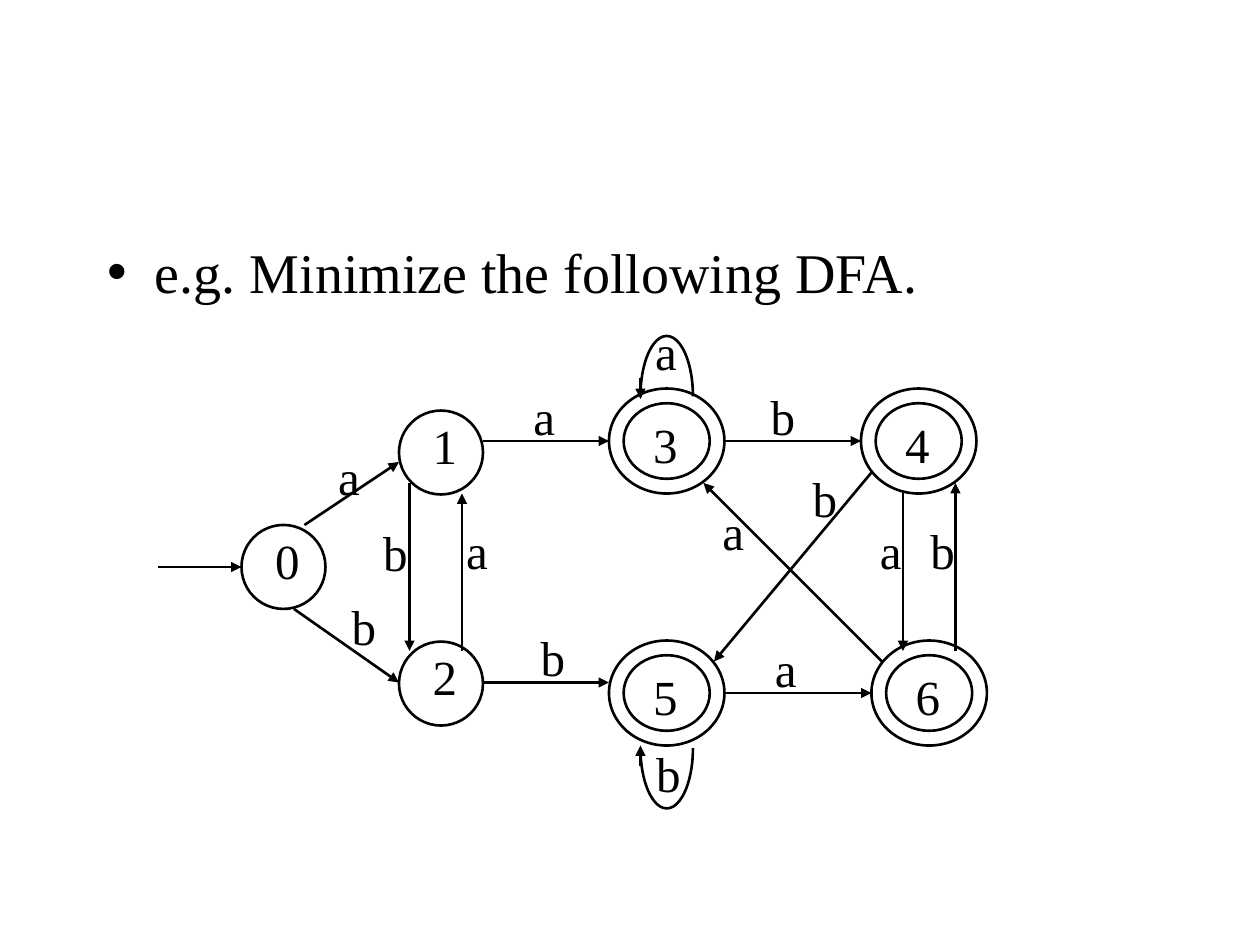
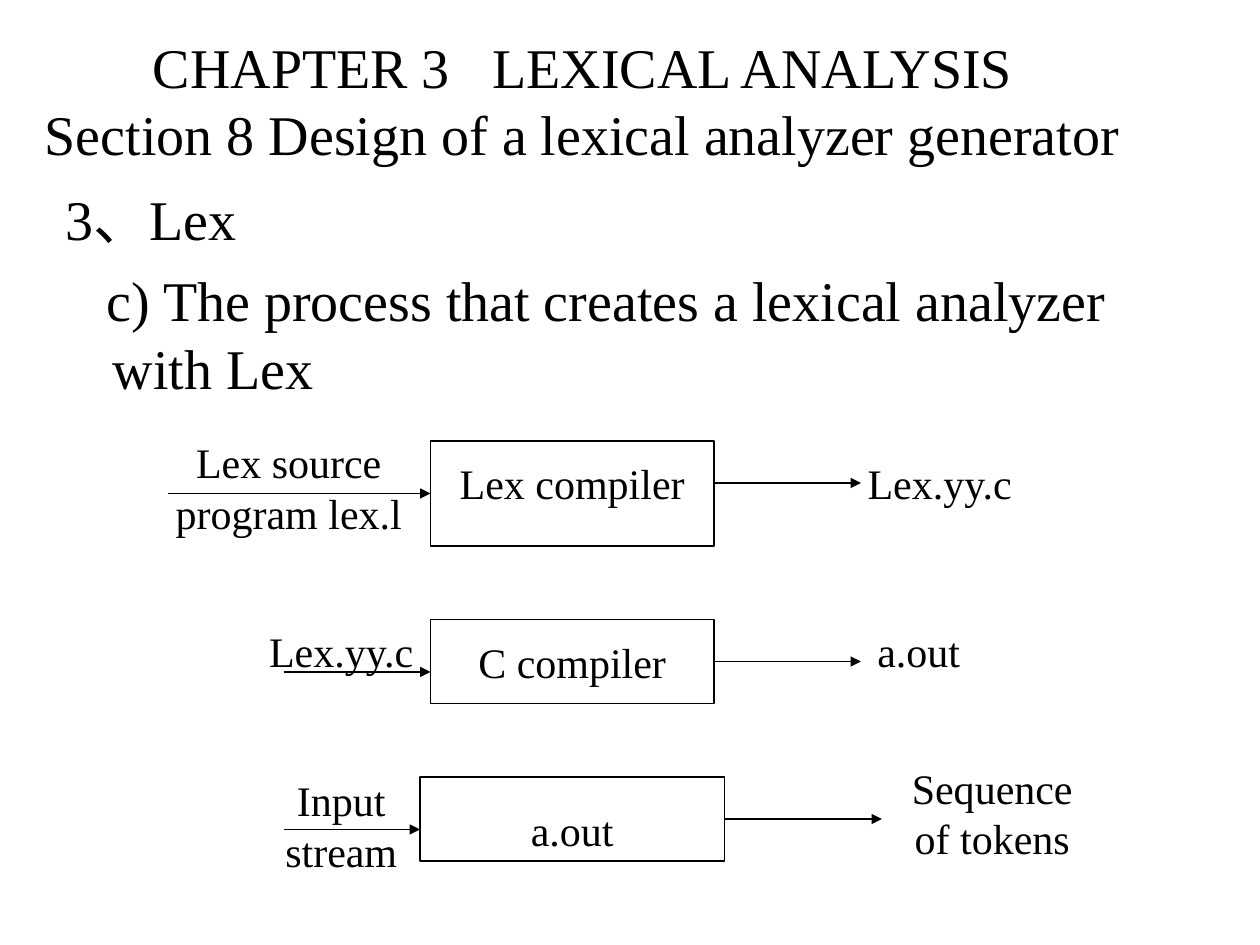
from typing import NamedTuple

from lxml import etree
from pptx import Presentation
from pptx import util as u
from pptx.dml.color import RGBColor
from pptx.enum import shapes, text
from pptx.oxml import ns

COLORS = {"ink": "000000"}
FONT = "Times New Roman"
COLUMNS, ROWS = 120, 90  # grid over a 10 x 7.5 inch page
CELL = u.Inches(10) // COLUMNS
HEADING_SIZE, SYMBOL_SIZE, STAGE_SIZE = 32, 28, 24
THICK, THIN = 1.5, 0.75
INK = RGBColor.from_string(COLORS["ink"])


class State(NamedTuple):
    name: str
    x: float  # centre
    y: float
    accepting: bool = False


class Arrow(NamedTuple):
    x1: float
    y1: float
    x2: float
    y2: float


class Symbol(NamedTuple):
    letter: str
    left: float
    top: float


class Label(NamedTuple):
    words: str
    left: float
    top: float
    width: float


class Stage(NamedTuple):
    left: float
    top: float
    width: float
    height: float
    arrow_start: float
    arrow_end: float
    labels: tuple[Label, Label, Label]  # input, tool, output


STATES = [
    State("0", 27, 54), State("1", 42, 43.1), State("2", 42, 65.1),
    State("3", 63.5, 42, True), State("5", 63.5, 66, True),
    State("4", 87.5, 42, True), State("6", 88.5, 66, True),
]

TRANSITIONS = [
    Arrow(15, 54, 23, 54), Arrow(29, 50, 38, 44), Arrow(28, 58, 38, 65),
    Arrow(39, 46, 39, 62), Arrow(44, 62, 44, 47),
    Arrow(46, 42, 58, 42), Arrow(46, 65, 58, 65),
    Arrow(69, 42, 82, 42), Arrow(69, 66, 83, 66),
    Arrow(83, 45, 68, 63), Arrow(84, 63, 67, 46),
    Arrow(86, 47, 86, 62), Arrow(91, 62, 91, 46),
    # Heads of the two self-loops
    Arrow(61, 36, 61, 38), Arrow(61, 73, 61, 71),
]

SYMBOLS = [
    Symbol("a", 29.8, 41.9), Symbol("a", 42, 49), Symbol("a", 48.4, 36.2),
    Symbol("a", 60, 30), Symbol("a", 71.4, 60.2), Symbol("a", 81.4, 49),
    Symbol("a", 66.4, 47.2), Symbol("b", 31.1, 56.2), Symbol("b", 49.1, 59.2),
    Symbol("b", 34.1, 49.2), Symbol("b", 75, 44), Symbol("b", 71, 36.2),
    Symbol("b", 86.2, 49), Symbol("b", 60.1, 70.2),
]

STAGES = [
    Stage(41, 42, 27, 10, 16, 82, (
        Label("Lex source program lex.l", 15, 41, 25),
        Label("Lex compiler", 42, 43, 25),
        Label("Lex.yy.c", 77, 43, 25))),
    Stage(41, 59, 27, 8, 27, 82, (
        Label("Lex.yy.c", 20, 59, 25),
        Label("C compiler", 42, 60, 25),
        Label("a.out", 75, 59, 25))),
    Stage(40, 74, 29, 8, 27, 84, (
        Label("Input stream", 22, 73.2, 21),
        Label("a.out", 42, 76, 25),
        Label("Sequence of tokens", 84, 72, 21))),
]


def cells(*values: float) -> list[int]:
    return [round(value * CELL) for value in values]


def add_span(para, words: str, size: float):
    span = para.add_run()
    span.text = words
    span.font.size = u.Pt(size)
    span.font.name = FONT
    span.font.color.rgb = INK
    return span


def place(holder, left: float, top: float, width: float, height: float):
    """Move a placeholder and return its text frame."""
    holder.left, holder.top, holder.width, holder.height = cells(left, top, width, height)
    frame = holder.text_frame
    frame.word_wrap = True
    frame.auto_size = text.MSO_AUTO_SIZE.NONE
    return frame


def add_item(para, words: str, bullet: str = "", first_indent: float = -0.38) -> None:
    para.space_before = u.Pt(8)
    add_span(para, words, HEADING_SIZE)
    props = para._p.get_or_add_pPr()
    props.set("marL", str(u.Inches(0.38)))
    props.set("indent", str(u.Inches(first_indent)))
    mark = etree.SubElement(props, ns.qn("a:buChar" if bullet else "a:buNone"))
    if bullet:
        mark.set("char", bullet)


def add_outline(page, kind, left: float, top: float, width: float, height: float, weight: float):
    shape = page.shapes.add_shape(kind, *cells(left, top, width, height))
    shape.shadow.inherit = False
    shape.fill.background()
    shape.line.color.rgb = INK
    shape.line.width = u.Pt(weight)
    return shape


def add_arrow(page, arrow: Arrow, weight: float) -> None:
    line = page.shapes.add_connector(shapes.MSO_CONNECTOR.STRAIGHT, *cells(*arrow))
    line.line.color.rgb = INK
    line.line.width = u.Pt(weight)
    etree.SubElement(line.line._get_or_add_ln(), ns.qn("a:tailEnd"), type="triangle")
    etree.SubElement(line._element.spPr, ns.qn("a:effectLst"))


def add_text(page, label: Label, height: float, size: float):
    box = page.shapes.add_textbox(*cells(label.left, label.top, label.width, height))
    frame = box.text_frame
    frame.word_wrap = True
    add_span(frame.paragraphs[0], label.words, size)
    return frame


def add_symbol(page, symbol: Symbol) -> None:
    frame = add_text(page, Label(symbol.letter, symbol.left, symbol.top, 6), 6.8, SYMBOL_SIZE)
    frame.margin_left = u.Inches(0.2)


def add_state(page, state: State) -> None:
    if state.accepting:
        ring = add_outline(page, shapes.MSO_SHAPE.DONUT, state.x - 5.5, state.y - 5, 11, 10, THICK)
        ring.adjustments[0] = 0.14
        add_symbol(page, Symbol(state.name, state.x - 3.7, state.y - 3.1))
    else:
        add_outline(page, shapes.MSO_SHAPE.OVAL, state.x - 4, state.y - 4, 8, 8, THICK)
        add_symbol(page, Symbol(state.name, state.x - 3.2, state.y - 4.1))


def add_loop(page, top: float, start: float, end: float) -> None:
    """Half an ellipse; angles in degrees, clockwise from the right."""
    arc = add_outline(page, shapes.MSO_SHAPE.ARC, 61, top, 5, 11.5, THICK)
    for index, angle in enumerate((start, end)):
        arc.adjustments[index] = angle * 0.6  # 60000 units a degree, scaled by 100000


def add_stage(page, stage: Stage) -> None:
    right = stage.left + stage.width
    add_outline(page, shapes.MSO_SHAPE.RECTANGLE, *stage[:4], THIN)
    add_arrow(page, Arrow(stage.arrow_start, stage.top + 5, stage.left, stage.top + 5), THIN)
    add_arrow(page, Arrow(right, stage.top + 4, stage.arrow_end, stage.top + 4), THIN)
    for label in stage.labels:
        frame = add_text(page, label, 6, STAGE_SIZE)
        frame.paragraphs[0].alignment = text.PP_ALIGN.CENTER


def build_automaton(page) -> None:
    title, body = page.placeholders
    title._element.getparent().remove(title._element)
    frame = place(body, 9, 22, 102, 15.7)
    add_item(frame.paragraphs[0], "e.g. Minimize the following DFA.", bullet="•")

    # States, self-loops, transitions and their input symbols
    for state in STATES:
        add_state(page, state)
    add_loop(page, 32, 180, 0)
    add_loop(page, 65.5, 0, 180)
    for arrow in TRANSITIONS:
        add_arrow(page, arrow, THICK)
    for symbol in SYMBOLS:
        add_symbol(page, symbol)


def build_lex_process(page) -> None:
    title, body = page.placeholders

    # Chapter and section heading
    frame = place(title, 0, 0, 111, 19)
    frame.vertical_anchor = text.MSO_ANCHOR.MIDDLE
    para = frame.paragraphs[0]
    para.alignment = text.PP_ALIGN.CENTER
    add_span(para, "CHAPTER 3", HEADING_SIZE)
    gap = add_span(para, " ", HEADING_SIZE)
    gap._r.get_or_add_rPr().set("spc", "1600")
    add_span(para, "LEXICAL ANALYSIS", HEADING_SIZE)
    para.add_line_break()
    add_span(para, "Section 8 Design of a lexical analyzer generator", HEADING_SIZE)

    # Topic
    frame = place(body, 5, 17, 106, 22)
    add_item(frame.paragraphs[0], "3、Lex")
    add_item(frame.add_paragraph(), "c) The process that creates a lexical analyzer with Lex",
             first_indent=-0.05)

    # Tool chain
    for stage in STAGES:
        add_stage(page, stage)


def main() -> None:
    deck = Presentation()
    deck.slide_width, deck.slide_height = COLUMNS * CELL, ROWS * CELL
    layout = deck.slide_layouts[1]
    for build in (build_automaton, build_lex_process):
        build(deck.slides.add_slide(layout))
    deck.save("out.pptx")


if __name__ == "__main__":
    main()
